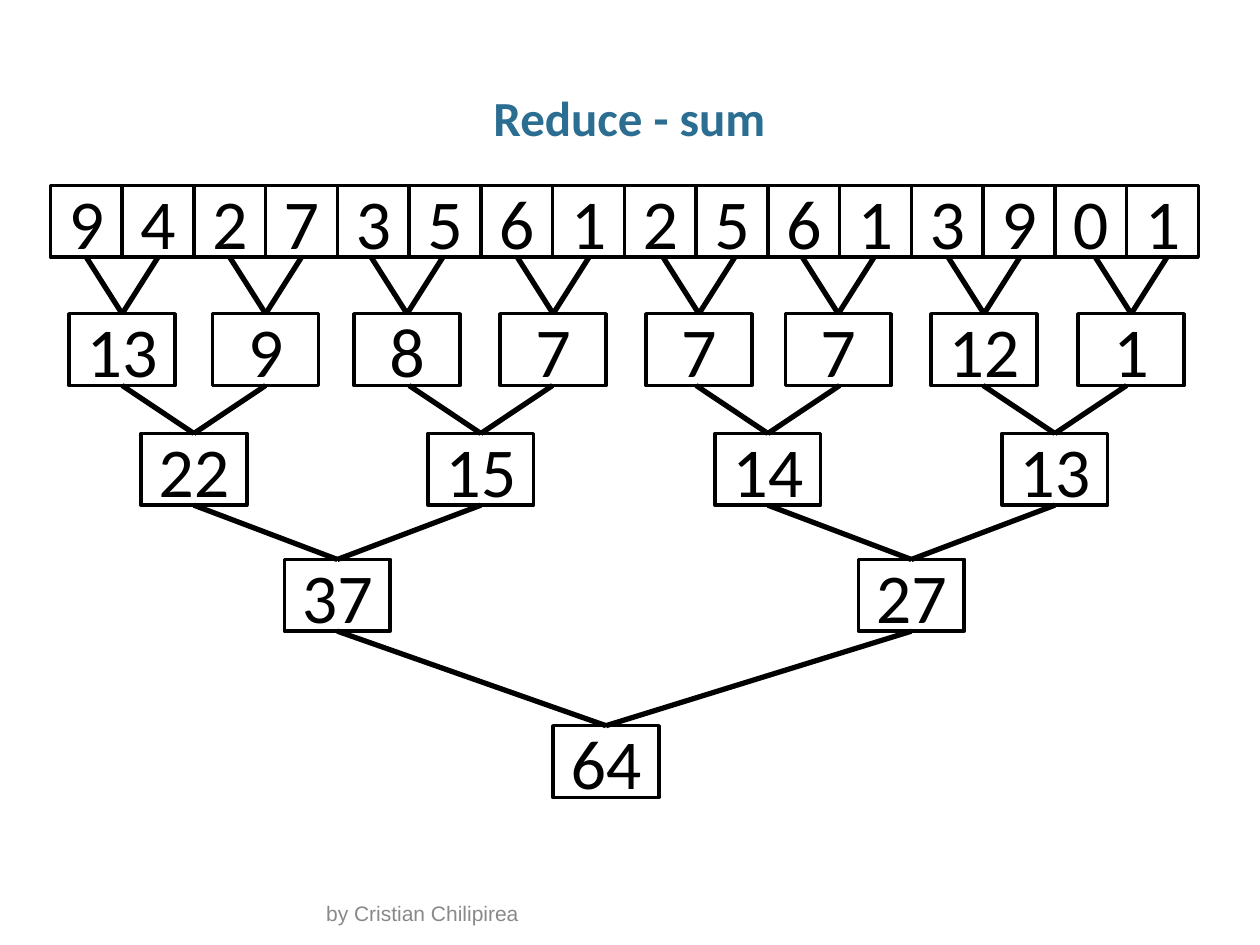
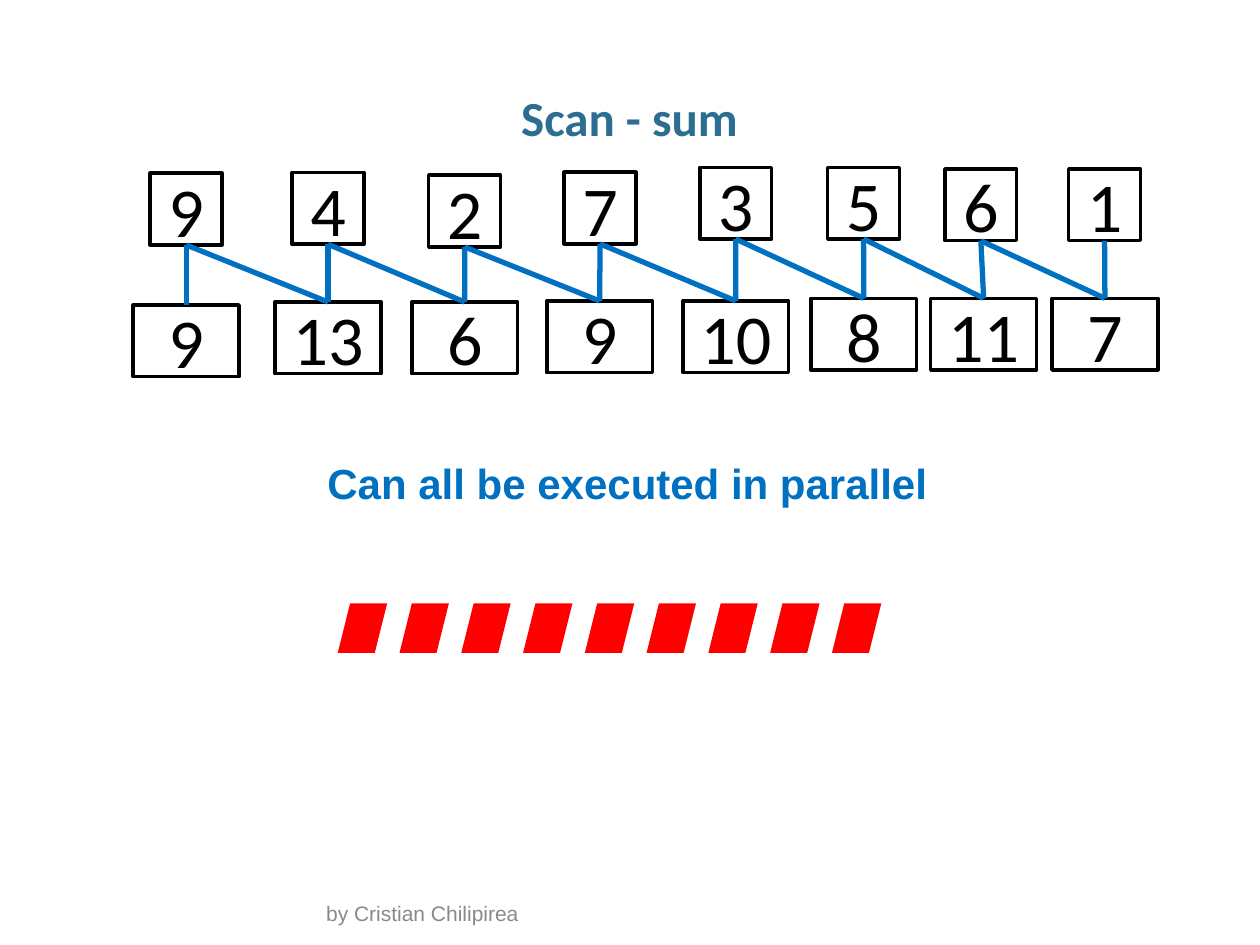
from dataclasses import dataclass

from pptx import Presentation
from pptx.dml.color import RGBColor as RGB
from pptx.enum.shapes import MSO_CONNECTOR as Conn, MSO_SHAPE as Kind
from pptx.enum.text import MSO_ANCHOR as Anchor, MSO_AUTO_SIZE as Fit, PP_ALIGN as Align
from pptx.oxml.ns import qn
from pptx.util import Pt


@dataclass(frozen=True)
class Theme:
    ink: RGB = RGB(0, 0, 0)
    head: RGB = RGB(0x2C, 0x6D, 0x92)
    blue: RGB = RGB(0, 0x70, 0xC0)
    red: RGB = RGB(0xFF, 0, 0)
    gray: RGB = RGB(0x89, 0x89, 0x89)
    sans: str = "Calibri"
    plain: str = "Arial"
    title: int = 28
    digit: int = 40
    note: int = 24
    foot: int = 12


T = Theme()
CELL = 41       # side of an input box, height of every box
WIDE = 60.5     # width of a box that holds a sum
LEFT = 28.8     # left edge of the input row


# Elements
def write(frame, text, size, color, font=T.plain, bold=False,
          align=Align.LEFT, anchor=Anchor.TOP, wrap=True, space=None):
    frame.word_wrap = wrap
    frame.vertical_anchor = anchor
    para = frame.paragraphs[0]
    para.alignment = align
    if space:
        para.line_spacing = space
    run = para.add_run()
    run.text = text
    face = run.font
    face.name, face.size, face.bold = font, Pt(size), bold
    face.color.rgb = color


def label(slide, text, x, y, w, h, **style):
    box = slide.shapes.add_textbox(Pt(x), Pt(y), Pt(w), Pt(h))
    write(box.text_frame, text, **style)
    return box


def box(slide, value, mid, top, wide):
    rect = slide.shapes.add_shape(
        Kind.RECTANGLE, Pt(mid - wide / 2), Pt(top), Pt(wide), Pt(CELL))
    rect.shadow.inherit = False
    rect.fill.background()
    rect.line.color.rgb, rect.line.width = T.ink, Pt(2)
    write(rect.text_frame, str(value), size=T.digit, color=T.ink, font=T.sans,
          align=Align.CENTER, anchor=Anchor.MIDDLE)


def link(slide, x1, y1, x2, y2, color):
    line = slide.shapes.add_connector(Conn.STRAIGHT, Pt(x1), Pt(y1), Pt(x2), Pt(y2))
    line.line.color.rgb, line.line.width = color, Pt(3)
    props = line._element.spPr
    props.append(props.makeelement(qn("a:effectLst"), {}))


def slant(slide, x, y, side):
    mark = slide.shapes.add_shape(Kind.PARALLELOGRAM, Pt(x), Pt(y), Pt(side), Pt(side))
    mark.shadow.inherit = False
    mark.fill.solid()
    mark.fill.fore_color.rgb = T.red
    mark.line.fill.background()


# Title and footer shared by the slides
def start(deck, text):
    slide = deck.slides.add_slide(deck.slide_layouts[5])
    title = slide.shapes.title
    title.left, title.top, title.width, title.height = Pt(24.5), Pt(49), Pt(670.3), Pt(36)
    frame = title.text_frame
    frame.auto_size = Fit.NONE
    frame.margin_left = frame.margin_right = 0
    frame.margin_top = frame.margin_bottom = Pt(3.6)
    write(frame, text, size=T.title, color=T.head, font=T.sans, bold=True,
          align=Align.CENTER, space=0.95)
    label(slide, "by Cristian Chilipirea", 179.3, 515.5, 361.4, 17.3,
          size=T.foot, color=T.gray, anchor=Anchor.BOTTOM)
    return slide


# Tree of pairwise sums
def reduce_sum(deck):
    slide = start(deck, "Reduce - sum")
    row = [9, 4, 2, 7, 3, 5, 6, 1, 2, 5, 6, 1, 3, 9, 0, 1]
    tops = [106, 179.3, 247.7, 319.7, 414.7]
    # Shift of each box from the middle of its pair
    shifts = [[0, 0, -1.2, 0.3, 1.6, -0.8, 0.5, 2.6], [0] * 4, [0] * 2, [-10.5]]

    mids = [LEFT + CELL * (i + 0.5) for i in range(len(row))]
    for value, mid in zip(row, mids):
        box(slide, value, mid, tops[0], CELL)

    for level, shift in enumerate(shifts):
        base, top = tops[level] + CELL, tops[level + 1]
        row = [a + b for a, b in zip(row[::2], row[1::2])]
        pairs = list(zip(mids[::2], mids[1::2]))
        mids = [(a + b) / 2 for a, b in pairs]
        for value, mid, move, pair in zip(row, mids, shift, pairs):
            slip = move if level == 0 else 0
            for x in pair:
                link(slide, x + slip, base, mid + move, top, T.ink)
            box(slide, value, mid + move, top, WIDE)


# Sums of neighbours
def scan_sum(deck):
    slide = start(deck, "Scan - sum")
    row = [9, 4, 2, 7, 3, 5, 6, 1]
    mids = [106.4, 187.5, 265.5, 342.9, 420.4, 493.5, 560.5, 631.2]
    tops = [99, 98.6, 100.1, 98.4, 95.6, 95.6, 96.6, 96.6]
    ends = [106.4, 187.5, 265.6, 342.7, 420.5, 493.6, 562.1, 631.4]
    lows = [174.3, 172.6, 172.6, 172, 172, 170.5, 170.5, 170.5]
    sums = [a + b for a, b in zip(row, [0] + row)]

    for i, (end, low) in enumerate(zip(ends, lows)):
        box(slide, row[i], mids[i], tops[i], CELL)
        box(slide, sums[i], end, low, WIDE)
        for j in range(max(i - 1, 0), i + 1):
            link(slide, mids[j], tops[j] + CELL, end, low, T.blue)

    note = label(slide, "Can all be executed in parallel", 180, 257.8, 360.7, 36,
                 size=T.note, color=T.blue, bold=True, wrap=False)
    note.text_frame.auto_size = Fit.SHAPE_TO_FIT_TEXT
    for i in range(9):
        slant(slide, 193 + 35.3 * i, 344.8, 28.2)


def main():
    deck = Presentation()
    deck.slide_width, deck.slide_height = Pt(720), Pt(540)
    reduce_sum(deck)
    scan_sum(deck)
    deck.save("out.pptx")


main()
